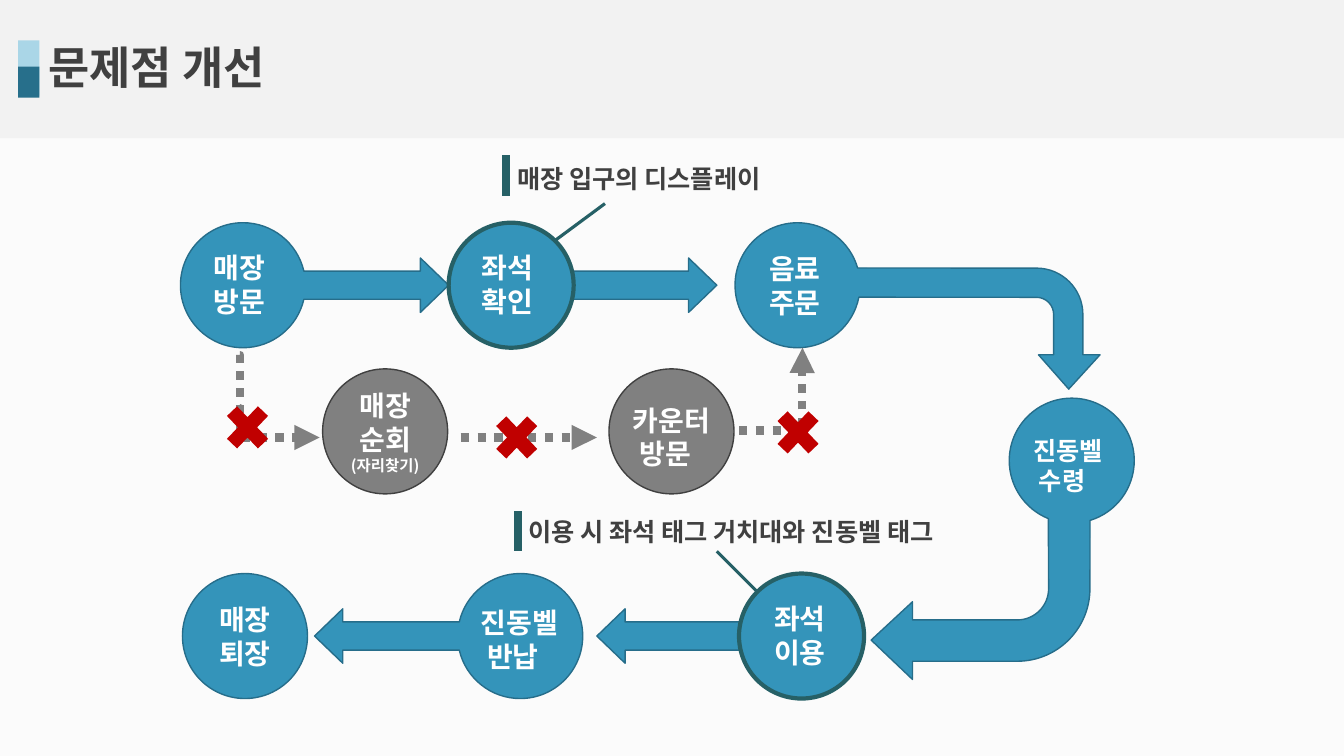
from dataclasses import dataclass
from math import cos, radians, sin, tan

from lxml import etree
from pptx import Presentation
from pptx.dml.color import RGBColor
from pptx.enum.dml import MSO_LINE
from pptx.enum.shapes import MSO_CONNECTOR, MSO_SHAPE
from pptx.enum.text import MSO_ANCHOR, MSO_AUTO_SIZE, PP_ALIGN
from pptx.oxml.ns import qn
from pptx.util import Pt

PX = 9144
FONT = "Noto Sans CJK KR"
RADIUS = 62

STRAIGHT, ELBOW = MSO_CONNECTOR.STRAIGHT, MSO_CONNECTOR.ELBOW
RECT, OVAL, CROSS = MSO_SHAPE.RECTANGLE, MSO_SHAPE.OVAL, MSO_SHAPE.MATH_MULTIPLY
DOTTED = MSO_LINE.ROUND_DOT
MIDDLE, TOP = MSO_ANCHOR.MIDDLE, MSO_ANCHOR.TOP
LEFT, CENTER = PP_ALIGN.LEFT, PP_ALIGN.CENTER
FIT_SHAPE, NO_FIT = MSO_AUTO_SIZE.SHAPE_TO_FIT_TEXT, MSO_AUTO_SIZE.NONE

PAGE = RGBColor(0xFB, 0xFB, 0xFB)
BANNER = RGBColor(0xF2, 0xF2, 0xF2)
PALE_BLUE = RGBColor(0xAA, 0xD6, 0xE7)
DEEP_BLUE = RGBColor(0x27, 0x6F, 0x8B)
BLUE = RGBColor(0x34, 0x94, 0xBA)
BLUE_EDGE = RGBColor(0x26, 0x6D, 0x8A)
TEAL = RGBColor(0x26, 0x60, 0x66)
GRAY = RGBColor(0x80, 0x80, 0x80)
DARK = RGBColor(0x40, 0x40, 0x40)
RED = RGBColor(0xC0, 0x00, 0x00)
WHITE = RGBColor(0xFF, 0xFF, 0xFF)


@dataclass
class Arc:
    x: int
    y: int
    r: int = 0
    start: int = 0
    end: int = 0

    def at(self, angle: float, pull: float = 0) -> tuple[int, int]:
        c, s = cos(angle), sin(angle)
        return (round((self.x + self.r * (c - pull * s)) * PX),
                round((self.y + self.r * (s + pull * c)) * PX))

    def points(self) -> list[tuple[int, int]]:
        low, high = sorted((self.start, self.end))
        quarters = [a for a in range(-90, 541, 90) if low < a < high]
        cuts = sorted({low, *quarters, high}, reverse=self.end < self.start)
        angles = [radians(a) for a in cuts]
        result = [self.at(angles[0])]
        for a, b in zip(angles, angles[1:]):
            pull = 4 / 3 * tan((b - a) / 4)
            result += [self.at(a, pull), self.at(b, -pull), self.at(b)]
        return result


@dataclass
class ArrowStep:
    x: int
    y: int
    way: int


@dataclass
class Label:
    x: int
    y: int
    w: int
    h: int
    text: str
    size: int = 20


@dataclass
class Callout:
    label: Label
    bar_x: int
    bar_y: int
    pointer: tuple[int, int, int, int]


@dataclass
class DottedArrow:
    ends: tuple[int, int, int, int]
    preset: str = "line"
    adjusts: tuple[int, ...] = ()


ARROW_STEPS = [ArrowStep(241, 283, 1), ArrowStep(507, 283, 1),
               ArrowStep(796, 631, -1), ArrowStep(516, 631, -1)]
ORDER_OUTLINE = [
    Arc(791, 283, RADIUS, 11, 344), Arc(1028, 312, 46, -90, 0),
    Arc(1074, 352), Arc(1091, 352), Arc(1060, 386), Arc(1030, 352),
    Arc(1045, 352), Arc(1028, 312, 17, 0, -90)]
BELL_OUTLINE = [
    Arc(1063, 457, RADIUS, 73, -248), Arc(1040, 584, 0),
    Arc(1009, 584, 31, 0, 90), Arc(905, 615), Arc(905, 597), Arc(864, 635),
    Arc(905, 674), Arc(905, 656), Arc(1009, 584, 72, 90, 0)]
BELL_OUTLINE[0] = Arc(1063, 457, RADIUS, 433, 112)
LABELS = [
    Label(202, 244, 76, 77, "매장\n방문"), Label(468, 244, 76, 77, "좌석\n확인"),
    Label(753, 245, 76, 77, "음료\n주문"), Label(1015, 427, 96, 71, "진동벨\n 수령", 18),
    Label(758, 592, 76, 77, "좌석\n이용"), Label(467, 596, 104, 77, "진동벨\n 반납"),
    Label(618, 395, 104, 77, "카운터\n 방문")]
CALLOUTS = [
    Callout(Label(514, 507, 478, 40, "이용 시 좌석 태그 거치대와 진동벨 태그", 18),
            514, 507, (751, 587, 711, 547)),
    Callout(Label(503, 157, 291, 40, "매장 입구의 디스플레이", 18),
            502, 154, (550, 239, 600, 202))]
DOTTED_ARROWS = [
    DottedArrow((238, 352, 317, 434), "bentConnector5", (200, 64700, 300)),
    DottedArrow((733, 427, 796, 345), "bentConnector3", (99500,)),
    DottedArrow((457, 434, 592, 434))]
CROSSES = [(216, 393), (762, 398), (483, 403)]
RINGS = [(507, 283), (795, 631)]


def paint(sp, fill: RGBColor | None, edge: RGBColor | None = None, width: float = 1) -> None:
    sp.shadow.inherit = False
    if fill is None:
        sp.fill.background()
    else:
        sp.fill.solid()
        sp.fill.fore_color.rgb = fill
    if edge is None:
        sp.line.fill.background()
    else:
        sp.line.color.rgb = edge
        sp.line.width = Pt(width)


def add_preset(shapes, kind, x: int, y: int, w: int, h: int, fill, edge=None, width: float = 1):
    sp = shapes.add_shape(kind, x * PX, y * PX, w * PX, h * PX)
    paint(sp, fill, edge, width)
    return sp


def add_circle(shapes, x: int, y: int, fill, edge, width: float = 1):
    return add_preset(shapes, OVAL, x - RADIUS, y - RADIUS, 2 * RADIUS, 2 * RADIUS,
                      fill, edge, width)


def add_outline(shapes, outline: list[Arc]) -> None:
    parts = [arc.points() for arc in outline]
    points = sum(parts, [])
    builder = shapes.build_freeform(*points[0], scale=1.0)
    builder.add_line_segments(points[1:], close=True)
    sp = builder.convert_to_shape()
    paint(sp, BLUE, BLUE_EDGE)
    nodes = iter(list(next(sp.element.iter(qn("a:path")))))
    for part in parts:
        next(nodes)
        for _ in range(len(part) // 3):
            curve = next(nodes)
            curve.tag = qn("a:cubicBezTo")
            for node in (next(nodes), next(nodes)):
                curve.append(node[0])
                node.getparent().remove(node)


def arrow_outline(step: ArrowStep) -> list[Arc]:
    turn = 0 if step.way > 0 else 180
    corners = [(176, -14), (176, -27), (204, 0), (176, 27), (176, 14)]
    return [Arc(step.x, step.y, RADIUS, 13 + turn, 347 + turn)] + [
        Arc(step.x + step.way * dx, step.y + step.way * dy) for dx, dy in corners]


def write(tf, text: str, sizes: list[int], color: RGBColor, align=LEFT) -> None:
    tf.text = text
    for p, size in zip(tf.paragraphs, sizes):
        p.alignment = align
        for r in p.runs:
            r.font.name = FONT
            r.font.size = Pt(size)
            r.font.bold = True
            r.font.color.rgb = color
            etree.SubElement(r.font._element, qn("a:ea"), typeface=FONT)


def add_label(shapes, label: Label, color: RGBColor) -> None:
    tf = shapes.add_textbox(label.x * PX, label.y * PX, label.w * PX, label.h * PX).text_frame
    tf.word_wrap = False
    tf.auto_size = FIT_SHAPE
    tf.vertical_anchor = TOP
    write(tf, label.text, [label.size] * 2, color)


def add_line(shapes, ends: tuple[int, int, int, int], color: RGBColor, width: float, kind=STRAIGHT):
    c = shapes.add_connector(kind, *(v * PX for v in ends))
    c.line.color.rgb = color
    c.line.width = Pt(width)
    etree.SubElement(c.element.spPr, qn("a:effectLst"))
    return c


def add_dotted_arrow(shapes, arrow: DottedArrow) -> None:
    c = add_line(shapes, arrow.ends, GRAY, 6, ELBOW if arrow.adjusts else STRAIGHT)
    c.line.dash_style = DOTTED
    etree.SubElement(c.line._get_or_add_ln(), qn("a:tailEnd"), type="triangle")
    geom = c.element.spPr.find(qn("a:prstGeom"))
    geom.set("prst", arrow.preset)
    guides = geom.find(qn("a:avLst"))
    for i, value in enumerate(arrow.adjusts, 1):
        name = "adj" if len(arrow.adjusts) == 0 else f"adj{i}"
        etree.SubElement(guides, qn("a:gd"), name=name, fmla=f"val {value}")


def add_callout(shapes, callout: Callout) -> None:
    add_line(shapes, callout.pointer, TEAL, 2.25)
    group = shapes.add_group_shape().shapes
    add_label(group, callout.label, DARK)
    x, y = callout.bar_x, callout.bar_y
    add_line(group, (x, y, x, y + 40), TEAL, 6)


def add_heading(s) -> None:
    add_preset(s.shapes, RECT, 0, 0, 1333, 137, BANNER)
    add_preset(s.shapes, RECT, 18, 40, 21, 55, PALE_BLUE)
    add_preset(s.shapes, RECT, 18, 66, 21, 31, DEEP_BLUE)
    title = s.shapes.title
    title.left, title.top, title.width, title.height = (v * PX for v in (38, 40, 1150, 59))
    s.shapes.element.append(title.element)
    tf = title.text_frame
    tf.vertical_anchor = MIDDLE
    tf.auto_size = NO_FIT
    write(tf, "문제점 개선", [32], DARK)
    tf.paragraphs[0].line_spacing = 0.9


def main() -> None:
    prs = Presentation()
    prs.slide_width, prs.slide_height = 1333 * PX, 750 * PX
    s = prs.slides.add_slide(prs.slide_layouts[5])
    s.background.fill.solid()
    s.background.fill.fore_color.rgb = PAGE
    add_heading(s)
    shapes = s.shapes
    for outline in [ORDER_OUTLINE, BELL_OUTLINE, *map(arrow_outline, ARROW_STEPS)]:
        add_outline(shapes, outline)
    leave = add_circle(shapes, 243, 631, BLUE, BLUE_EDGE)
    tour = add_circle(shapes, 382, 428, GRAY, DARK)
    add_circle(shapes, 666, 428, GRAY, DARK)
    for sp, text, sizes in [(leave, "매장\n퇴장", [20, 20]),
                            (tour, "매장 순회\n(자리찾기)", [20, 11])]:
        sp.text_frame.vertical_anchor = MIDDLE
        sp.text_frame.word_wrap = True
        write(sp.text_frame, text, sizes, WHITE, CENTER)
    for x, y in RINGS:
        add_circle(shapes, x, y, None, TEAL, 3)
    for label in LABELS:
        add_label(shapes, label, WHITE)
    for arrow in DOTTED_ARROWS:
        add_dotted_arrow(shapes, arrow)
    for x, y in CROSSES:
        add_preset(shapes, CROSS, x, y, 59, 62, RED)
    for callout in CALLOUTS:
        add_callout(shapes, callout)
    prs.save("out.pptx")


if __name__ == "__main__":
    main()
